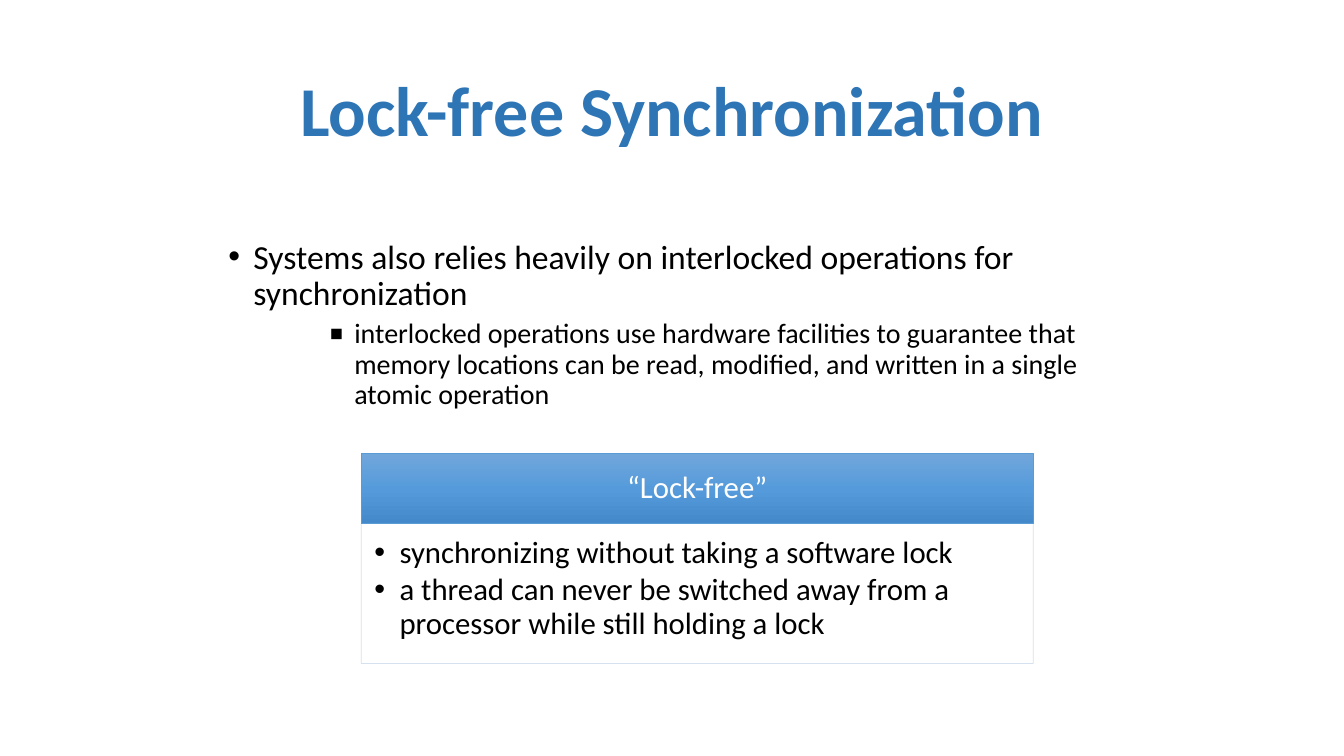
import copy
import pptx
import pptx.util
import pptx.dml.color
import pptx.enum.shapes
import pptx.enum.text
import pptx.oxml.ns
import lxml.etree
from dataclasses import dataclass

Pt = pptx.util.Pt
Align = pptx.enum.text.PP_ALIGN
Anchor = pptx.enum.text.MSO_ANCHOR
qn = pptx.oxml.ns.qn


@dataclass(frozen=True)
class Theme:
    font: str = "Calibri"
    title: str = "2E75B6"
    ink: str = "000000"
    paper: str = "FFFFFF"
    edge: str = "5B9BD5"
    rim: str = "D2DEEF"
    head: tuple = ("71A6DB", "559BDB", "448ACA")
    big: int = 50
    main: int = 24
    sub: int = 20
    card: int = 22


theme = Theme()


def color(code):
    return pptx.dml.color.RGBColor.from_string(code)


def child(node, tag, **attrs):
    return lxml.etree.SubElement(node, qn(tag), attrs)


def write(para, text, size, code, bold=False):
    para.text = text
    para.line_spacing = 0.9
    font = para.font
    font.name, font.size, font.bold = theme.font, Pt(size), bold
    font.color.rgb = color(code)


def bullet(para, mark, left=18, scale=100):
    props = para._p.get_or_add_pPr()
    props.set("marL", str(Pt(left)))
    props.set("indent", str(Pt(-18)))
    child(props, "a:buSzPct", val=str(scale * 1000))
    child(props, "a:buFont", typeface="Arial")
    child(props, "a:buChar", char=mark)


def set_frame(frame, anchor, insets):
    frame.word_wrap = True
    frame.vertical_anchor = anchor
    left, top, right, bottom = map(Pt, insets)
    frame.margin_left, frame.margin_top = left, top
    frame.margin_right, frame.margin_bottom = right, bottom


def text_box(slide, box, anchor):
    frame = slide.shapes.add_textbox(*map(Pt, box)).text_frame
    set_frame(frame, anchor, (7.2, 3.6, 7.2, 3.6))
    return frame


def panel(slide, box, edge):
    shape = slide.shapes.add_shape(
        pptx.enum.shapes.MSO_SHAPE.RECTANGLE, *map(Pt, box))
    shape.shadow.inherit = False
    shape.line.color.rgb = color(edge)
    shape.line.width = Pt(0.5)
    return shape


def shade(shape, codes):
    fill = shape.fill
    fill.gradient()
    fill.gradient_angle = 270
    stops = fill.gradient_stops
    first = stops[0]._gs
    first.addnext(copy.deepcopy(first))
    for rank, (stop, code) in enumerate(zip(fill.gradient_stops, codes)):
        stop.position = rank / (len(codes) - 1)
        stop.color.rgb = color(code)


def add_title(slide, box, text):
    para = text_box(slide, box, Anchor.MIDDLE).paragraphs[0]
    write(para, text, theme.big, theme.title, True)
    para.alignment = Align.CENTER


def add_body(slide, box, point, detail):
    frame = text_box(slide, box, Anchor.TOP)
    para = frame.paragraphs[0]
    write(para, point, theme.main, theme.ink)
    para.space_before = Pt(10)
    bullet(para, "•")
    para = frame.add_paragraph()
    write(para, detail, theme.sub, theme.ink)
    para.space_before = Pt(5)
    para.level = 2
    bullet(para, "▪", 90, 150)


def add_card(slide, box, name, points):
    left, top, width, height = box
    cap = height / 3
    base = panel(slide, (left, top + cap, width, height - cap), theme.rim)
    base.fill.solid()
    base.fill.fore_color.rgb = color(theme.paper)
    tint = base.line._ln.find(".//" + qn("a:srgbClr"))
    child(tint, "a:alpha", val="90000")
    frame = base.text_frame
    set_frame(frame, Anchor.TOP, (9.4, 9.4, 12.5, 14))
    for rank, text in enumerate(points):
        para = frame.add_paragraph() if rank else frame.paragraphs[0]
        write(para, text, theme.card, theme.ink)
        para.alignment = Align.LEFT
        para.space_after = Pt(3)
        bullet(para, "•")

    head = panel(slide, (left, top, width, cap), theme.edge)
    shade(head, theme.head)
    set_frame(head.text_frame, Anchor.MIDDLE, (12.5, 7.2, 12.5, 7.2))
    para = head.text_frame.paragraphs[0]
    write(para, name, theme.card, theme.paper)
    para.alignment = Align.CENTER


def main():
    deck = pptx.Presentation()
    deck.slide_width, deck.slide_height = Pt(960), Pt(540)
    slide = deck.slides.add_slide(deck.slide_layouts[6])
    add_title(slide, (172, 36, 616, 90), "Lock-free Synchronization")
    add_body(
        slide, (156, 168, 648, 372),
        "Systems also relies heavily on interlocked operations for "
        "synchronization",
        "interlocked operations use hardware facilities to guarantee that "
        "memory locations can be read, modified, and written in a single "
        "atomic operation")
    add_card(
        slide, (258, 324, 480, 150), "“Lock-free”",
        ("synchronizing without taking a software lock",
         "a thread can never be switched away from a processor while "
         "still holding a lock"))
    deck.save("out.pptx")


if __name__ == "__main__":
    main()
